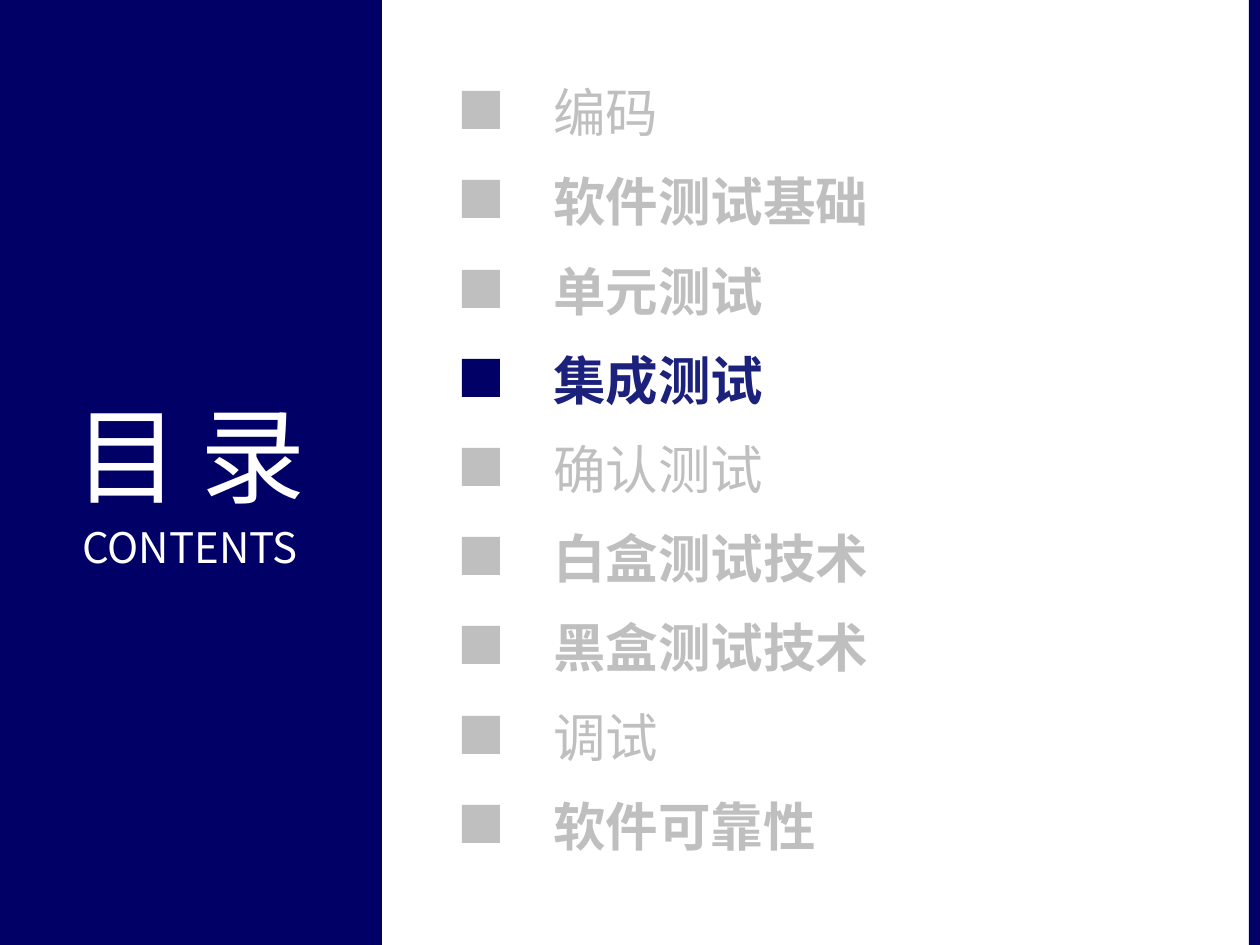
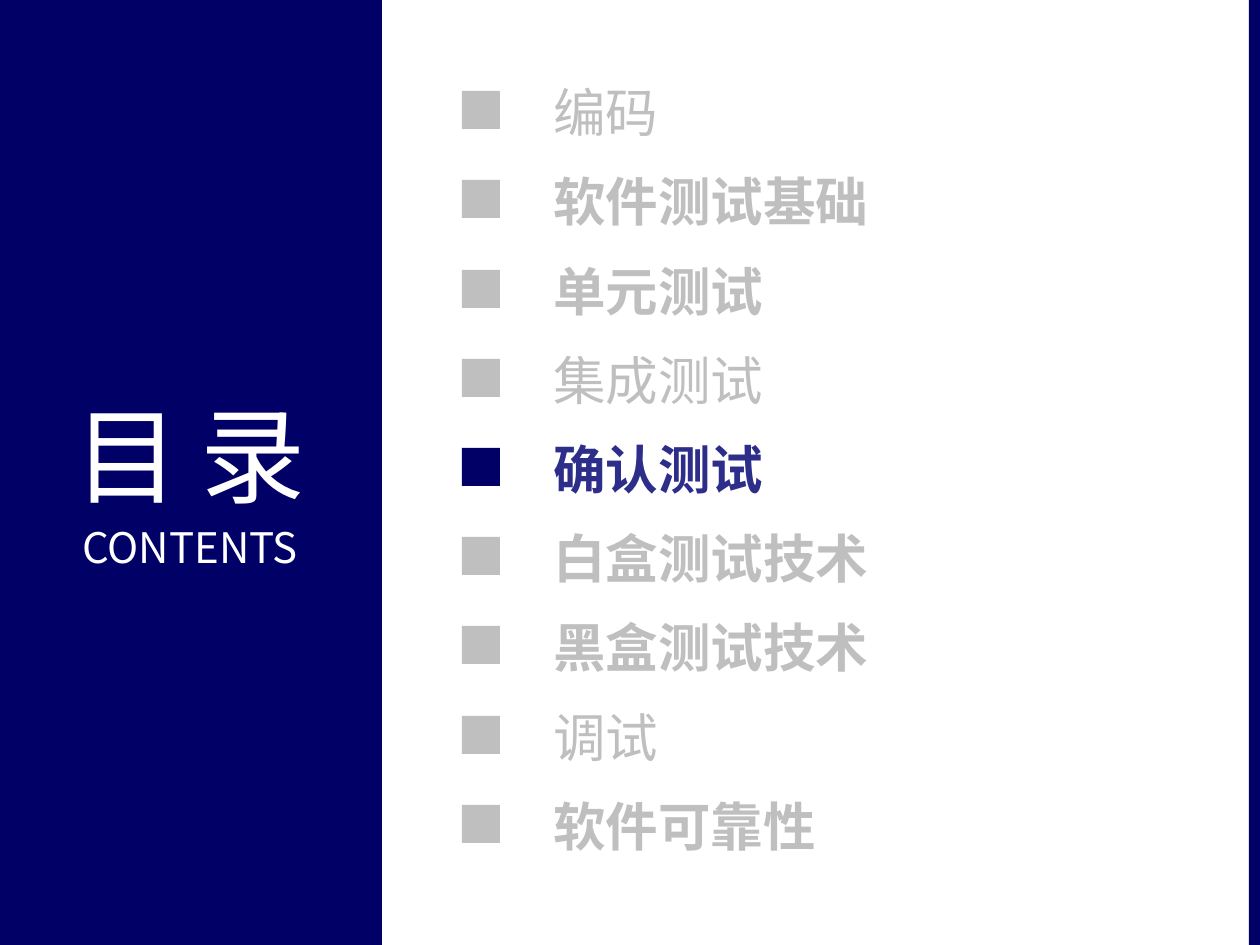
from dataclasses import dataclass

from lxml import etree
from pptx import Presentation
from pptx.dml.color import RGBColor
from pptx.enum.shapes import MSO_SHAPE
from pptx.enum.text import MSO_ANCHOR, PP_ALIGN
from pptx.oxml.ns import qn
from pptx.util import Pt

RECTANGLE = MSO_SHAPE.RECTANGLE
BOTTOM = MSO_ANCHOR.BOTTOM
CENTER, LEFT = PP_ALIGN.CENTER, PP_ALIGN.LEFT
PX = 914400 / 126


@dataclass(frozen=True)
class Theme:
    font: str = "Noto Sans CJK SC"
    navy: str = "000066"
    muted: str = "BFBFBF"
    white: str = "FFFFFF"
    heading_size: int = 60
    subheading_size: int = 24
    topic_size: int = 30


theme = Theme()


def add_block(slide, box, color):
    block = slide.shapes.add_shape(RECTANGLE, *[round(n * PX) for n in box])
    block.shadow.inherit = False
    block.fill.solid()
    block.fill.fore_color.rgb = RGBColor.from_string(color)
    block.line.fill.background()


def add_text(slide, box, bottom_margin, lines, color, align=LEFT, bold=False):
    frame = slide.shapes.add_textbox(*[round(n * PX) for n in box]).text_frame
    frame.word_wrap = True
    frame.vertical_anchor = BOTTOM
    frame.margin_top = 0
    frame.margin_bottom = round(bottom_margin * PX)
    for index, (text, size, spacing, gap) in enumerate(lines):
        paragraph = frame.add_paragraph() if index else frame.paragraphs[0]
        paragraph.text = text
        paragraph.alignment = align
        paragraph.space_before = Pt(gap)
        font = paragraph.font
        font.name = theme.font
        font.size = Pt(size)
        font.bold = bold
        font.color.rgb = RGBColor.from_string(color)
        properties = paragraph._p.pPr.find(qn("a:defRPr"))
        properties.set("spc", str(spacing * 100))
        etree.SubElement(properties, qn("a:ea"), typeface=theme.font)


topics = [
    ("编码", False),
    ("软件测试基础", True),
    ("单元测试", True),
    ("集成测试", False),
    ("确认测试", False),
    ("白盒测试技术", True),
    ("黑盒测试技术", True),
    ("调试", False),
    ("软件可靠性", True),
]
sections = [("集成测试", "1C217C"), ("确认测试", "2D2D8A")]
heading = [
    ("目录", theme.heading_size, 12, 0),
    ("CONTENTS", theme.subheading_size, 0, 3),
]
first_marker, last_marker = 91, 805
pitch = (last_marker - first_marker) / (len(topics) - 1)

deck = Presentation()
deck.slide_width = round(1260 * PX)
deck.slide_height = round(945 * PX)
blank = deck.slide_layouts[6]

for current, current_color in sections:
    slide = deck.slides.add_slide(blank)
    add_block(slide, (-2, 0, 384, 945), theme.navy)
    add_text(slide, (-2, 364, 384, 217), 9, heading, theme.white, CENTER)
    add_block(slide, (1249, 0, 11, 945), theme.navy)
    for row, (topic, bold) in enumerate(topics):
        top = round(first_marker + row * pitch)
        active = topic == current
        add_block(slide, (462, top, 38, 38), theme.navy if active else theme.muted)
        add_text(
            slide,
            (541, top - 22, 486, 77),
            3,
            [(topic, theme.topic_size, 0, 0)],
            current_color if active else theme.muted,
            bold=bold or active,
        )

deck.save("out.pptx")
